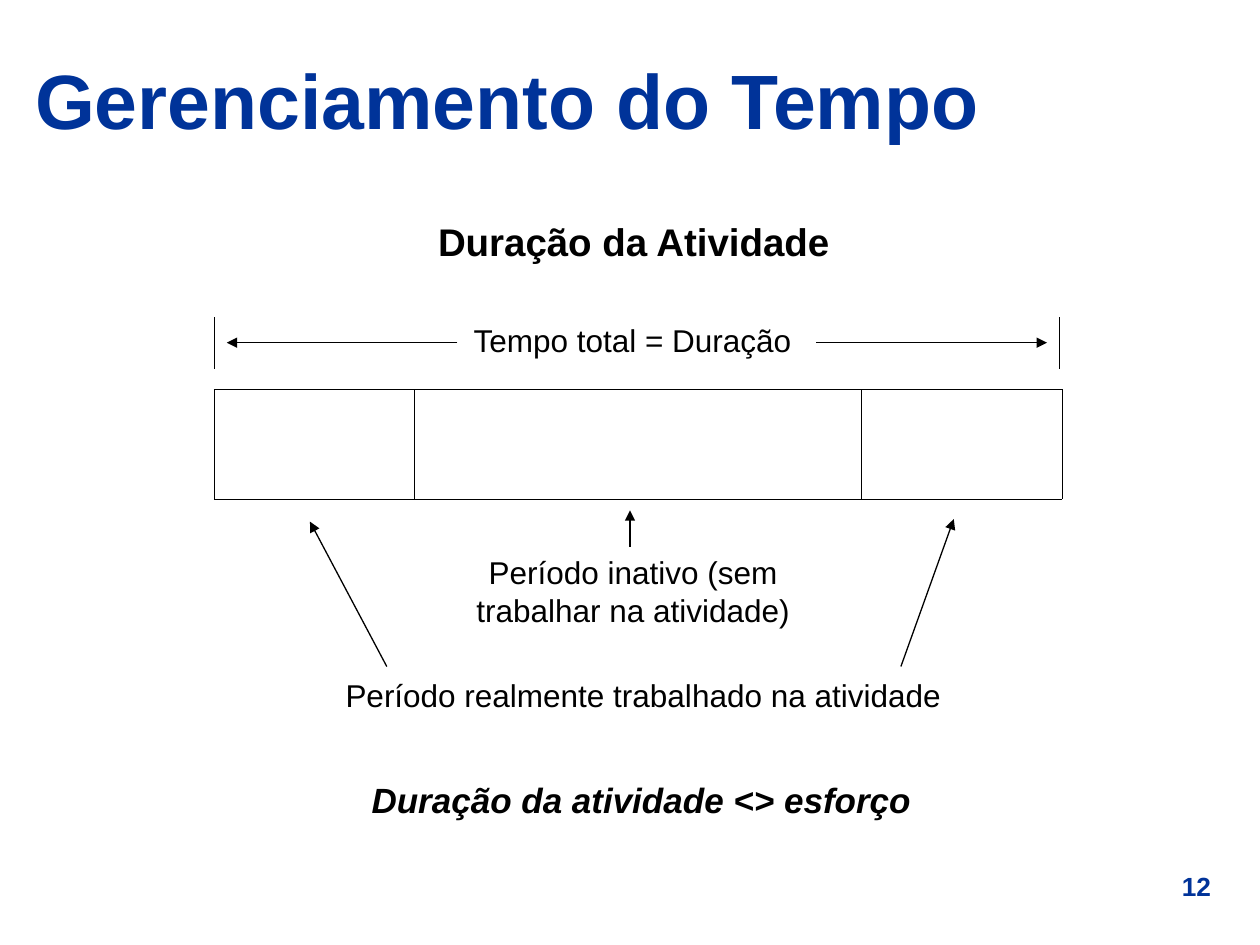
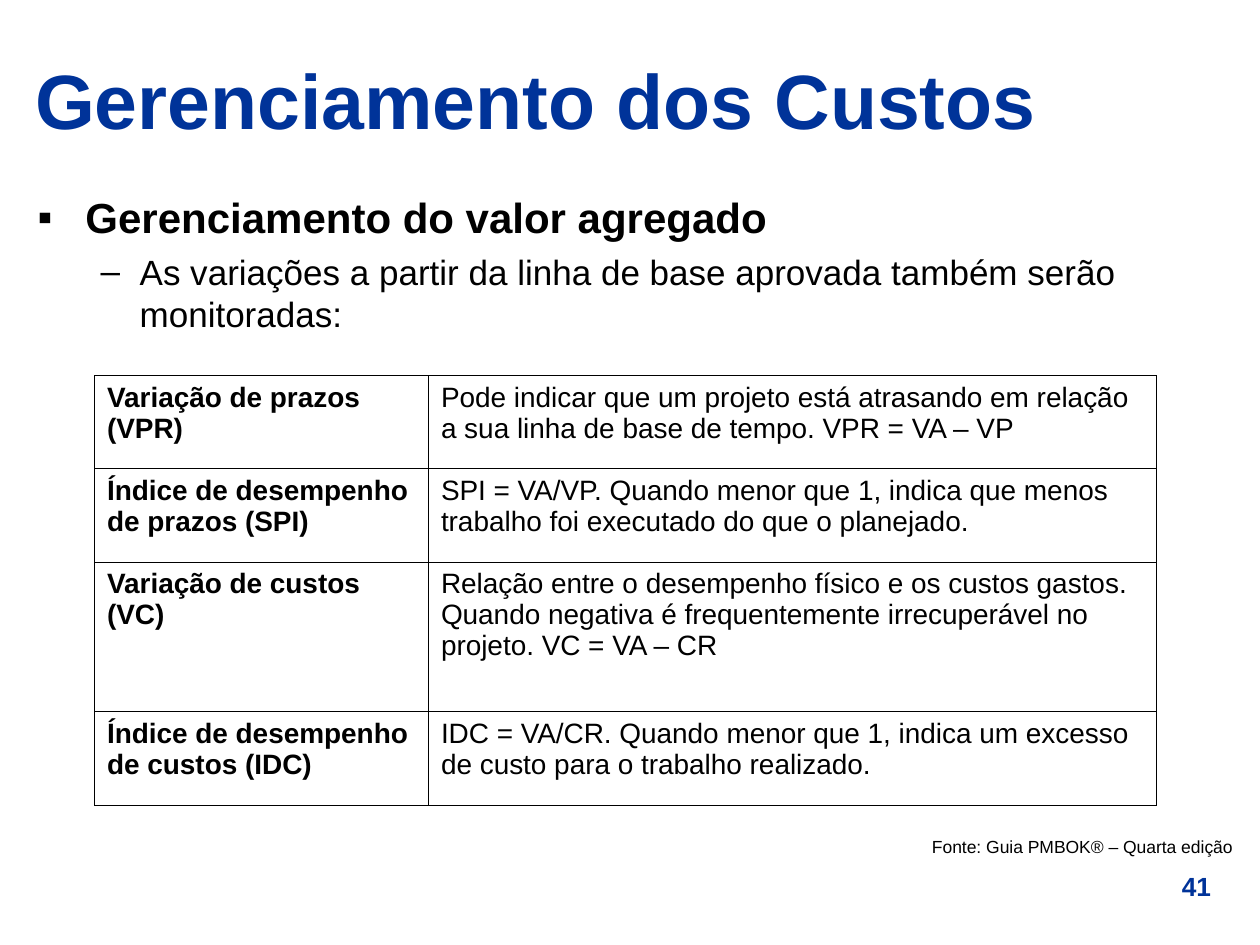
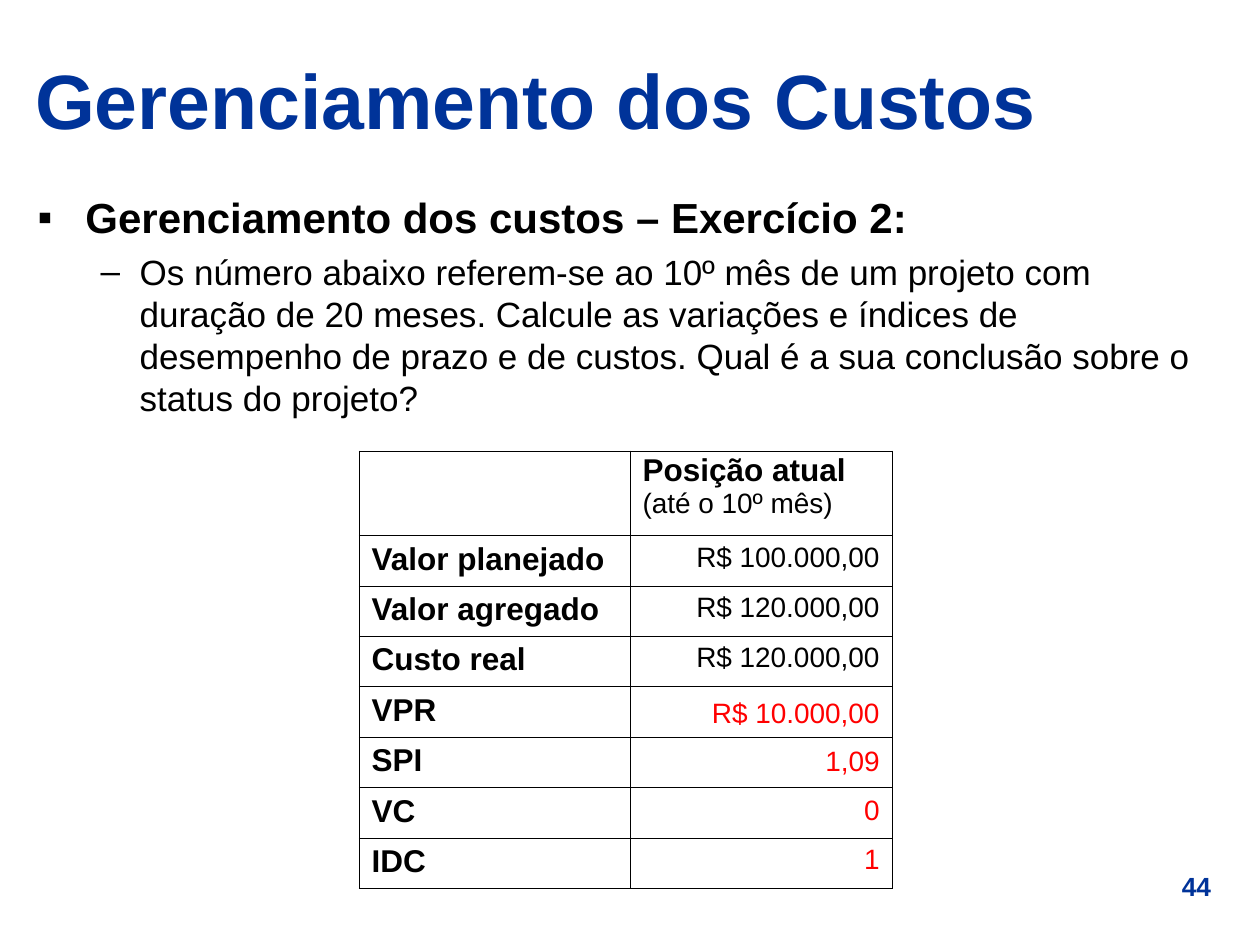
from typing import NamedTuple

from lxml import etree
from pptx import Presentation
from pptx import util as u
from pptx.dml.color import RGBColor
from pptx.enum import shapes, text
from pptx.oxml import ns

FONT = "Arial"
COLORS = {"title": "003399", "ink": "000000", "answer": "FF0000"}
ALIGN = {"l": text.PP_ALIGN.LEFT, "c": text.PP_ALIGN.CENTER, "r": text.PP_ALIGN.RIGHT}
BOX_LEADING = 1.2
TABLE_LEADING = 1.11


class Box(NamedTuple):
    left: float
    top: float
    width: float
    height: float


class Label(NamedTuple):
    words: str
    box: Box
    size: float = 18
    align: str = "c"
    bold: bool = False
    italic: bool = False


class Line(NamedTuple):
    x1: float
    y1: float
    x2: float
    y2: float
    arrow: bool = True


class Bullet(NamedTuple):
    mark: str
    margin: float
    hang: float
    size: float
    before: float
    bold: bool


TOPIC = Bullet("▪", 0.38, 0.38, 24, 0, True)
DETAIL = Bullet("–", 0.81, 0.31, 20, 5, False)
TITLE_BOX = Box(0.18, 0.28, 9.62, 1.01)
BODY_BOX = Box(0.2, 1.47, 9.61, 5.59)
NUMBER_BOX = Box(9.1, 6.86, 0.79, 0.35)


def inches(values) -> list:
    return [u.Inches(value) for value in values]


def add_xml(parent, tag: str, **attributes):
    child = etree.SubElement(parent, ns.qn(tag))
    for key, value in attributes.items():
        child.set(key, str(value))
    return child


# Text
def write(paragraph, words: str, *, size: float = 18, color: str = "ink", bold: bool = False,
          italic: bool = False, align: str = "l", leading: float = BOX_LEADING,
          before: float = 0) -> None:
    paragraph.alignment = ALIGN[align]
    paragraph.line_spacing = u.Pt(round(size * leading, 1))
    paragraph.space_before = u.Pt(before)
    run = paragraph.add_run()
    run.text = words
    font = run.font
    font.name, font.size, font.bold, font.italic = FONT, u.Pt(size), bold, italic
    font.color.rgb = RGBColor.from_string(COLORS[color])


def add_frame(slide, box: Box, anchor=text.MSO_ANCHOR.TOP):
    frame = slide.shapes.add_textbox(*inches(box)).text_frame
    frame.word_wrap = True
    frame.vertical_anchor = anchor
    return frame


def add_label(slide, label: Label) -> None:
    write(add_frame(slide, label.box).paragraphs[0], label.words, size=label.size,
          align=label.align, bold=label.bold, italic=label.italic)


def add_bullets(slide, topic: str, detail: str) -> None:
    frame = add_frame(slide, BODY_BOX)
    for paragraph, words, bullet in ((frame.paragraphs[0], topic, TOPIC),
                                     (frame.add_paragraph(), detail, DETAIL)):
        properties = paragraph._p.get_or_add_pPr()
        properties.set("marL", str(u.Inches(bullet.margin)))
        properties.set("indent", str(-u.Inches(bullet.hang)))
        add_xml(properties, "a:buFont", typeface=FONT)
        add_xml(properties, "a:buChar", char=bullet.mark)
        write(paragraph, words, size=bullet.size, bold=bullet.bold, before=bullet.before)


# Lines and tables
def add_line(slide, line: Line) -> None:
    connector = slide.shapes.add_connector(shapes.MSO_CONNECTOR.STRAIGHT, *inches(line[:4]))
    connector.line.color.rgb = RGBColor.from_string(COLORS["ink"])
    connector.line.width = u.Pt(0.75)
    if line.arrow:
        add_xml(connector.line._get_or_add_ln(), "a:tailEnd", type="triangle")
    add_xml(connector._element.spPr, "a:effectLst")


def add_grid(slide, left: float, top: float, widths: list[float], heights: list[float]):
    frame = slide.shapes.add_table(len(heights), len(widths),
                                   *inches((left, top, sum(widths), sum(heights))))
    table = frame.table
    table.first_row = table.horz_banding = False
    for column, width in zip(table.columns, widths):
        column.width = u.Inches(width)
    for row, height in zip(table.rows, heights):
        row.height = u.Inches(height)
    for cell in table.iter_cells():
        properties = cell._tc.get_or_add_tcPr()
        for side in ("L", "R", "T", "B"):
            border = add_xml(properties, f"a:ln{side}", w=u.Pt(0.45))
            add_xml(add_xml(border, "a:solidFill"), "a:srgbClr", val=COLORS["ink"])
        cell.fill.background()
    return table


def write_cell(table, row: int, column: int, words: str, **style) -> None:
    write(table.cell(row, column).text_frame.paragraphs[0], words,
          leading=TABLE_LEADING, **style)


# Title and number shared by all slides
def add_slide(deck, title: str, number: int):
    slide = deck.slides.add_slide(deck.slide_layouts[6])
    number_frame = add_frame(slide, NUMBER_BOX)
    write(number_frame.paragraphs[0], str(number), size=15, color="title", bold=True, align="c")
    title_frame = add_frame(slide, TITLE_BOX, text.MSO_ANCHOR.MIDDLE)
    write(title_frame.paragraphs[0], title, size=44, color="title", bold=True)
    return slide


DURATION_LABELS = [
    Label("Duração da Atividade", Box(2.67, 1.68, 4.72, 0.52), 22, bold=True),
    Label("Duração da atividade <> esforço", Box(2.85, 6.13, 4.68, 0.44), 20, "l", True, True),
    Label("Tempo total = Duração", Box(3.66, 2.5, 2.85, 0.4), align="l"),
    Label("Período inativo (sem trabalhar na atividade)", Box(3.55, 4.34, 2.95, 0.7)),
    Label("Período realmente trabalhado na atividade", Box(2.62, 5.32, 4.97, 0.4)),
]
DURATION_LINES = [
    Line(5, 4.34, 5, 4.05),
    Line(3.07, 5.29, 2.46, 4.14),
    Line(7.15, 5.29, 7.57, 4.12),
    Line(6.48, 2.72, 8.31, 2.72),
    Line(3.63, 2.72, 1.8, 2.72),
    Line(1.7, 2.52, 1.7, 2.93, arrow=False),
    Line(8.41, 2.52, 8.41, 2.93, arrow=False),
]
INDICATORS = [
    ("Variação de prazos (VPR)",
     "Pode indicar que um projeto está atrasando em relação a sua linha de base de tempo. "
     "VPR = VA – VP"),
    ("Índice de desempenho de prazos (SPI)",
     "SPI = VA/VP. Quando menor que 1, indica que menos trabalho foi executado do que o "
     "planejado."),
    ("Variação de custos (VC)",
     "Relação entre o desempenho físico e os custos gastos. Quando negativa é frequentemente "
     "irrecuperável no projeto. VC = VA – CR"),
    ("Índice de desempenho de custos (IDC)",
     "IDC = VA/CR. Quando menor que 1, indica um excesso de custo para o trabalho realizado."),
]
POSITIONS = [
    ("Valor planejado", "R$ 100.000,00"),
    ("Valor agregado", "R$ 120.000,00"),
    ("Custo real", "R$ 120.000,00"),
    ("VPR", ""), ("SPI", ""), ("VC", ""), ("IDC", ""),
]
ANSWERS = ["R$ 10.000,00", "1,09", "0", "1"]


def build_duration(deck) -> None:
    slide = add_slide(deck, "Gerenciamento do Tempo", 12)
    add_grid(slide, 1.7, 3.09, [1.59, 3.55, 1.59], [0.87])
    for label in DURATION_LABELS:
        add_label(slide, label)
    for line in DURATION_LINES:
        add_line(slide, line)


def build_indicators(deck) -> None:
    slide = add_slide(deck, "Gerenciamento dos Custos", 41)
    add_bullets(slide, "Gerenciamento do valor agregado",
                "As variações a partir da linha de base aprovada também serão monitoradas:")
    add_label(slide, Label("Fonte: Guia PMBOK® – Quarta edição",
                           Box(7.18, 6.59, 2.7, 0.27), 10, "r"))
    table = add_grid(slide, 0.75, 2.98, [2.65, 5.78], [0.74, 0.74, 1.19, 0.74])
    for row, (indicator, meaning) in enumerate(INDICATORS):
        write_cell(table, row, 0, indicator, size=16, bold=True)
        write_cell(table, row, 1, meaning, size=16)


def build_exercise(deck) -> None:
    slide = add_slide(deck, "Gerenciamento dos Custos", 44)
    add_bullets(slide, "Gerenciamento dos custos – Exercício 2:",
                "Os número abaixo referem-se ao 10º mês de um projeto com duração de 20 meses. "
                "Calcule as variações e índices de desempenho de prazo e de custos. "
                "Qual é a sua conclusão sobre o status do projeto?")
    table = add_grid(slide, 2.85, 3.58, [2.15, 2.08], [0.67] + [0.4] * len(POSITIONS))
    write_cell(table, 0, 1, "Posição atual", bold=True)
    write_cell(table, 0, 1, " (até o 10º mês)", size=16)
    for row, (measure, amount) in enumerate(POSITIONS, start=1):
        write_cell(table, row, 0, measure, bold=True)
        if amount:
            write_cell(table, row, 1, amount, size=16, align="r")
    # Answers laid over the empty cells
    frame = add_frame(slide, Box(5.55, 5.35, 1.53, 2.03))
    for position, answer in enumerate(ANSWERS):
        paragraph = frame.add_paragraph() if position else frame.paragraphs[0]
        write(paragraph, answer, size=16, color="answer", align="r", leading=1.45 * BOX_LEADING)


def main() -> None:
    deck = Presentation()
    deck.slide_width, deck.slide_height = u.Inches(10), u.Inches(7.5)
    build_duration(deck)
    build_indicators(deck)
    build_exercise(deck)
    deck.save("out.pptx")


if __name__ == "__main__":
    main()
